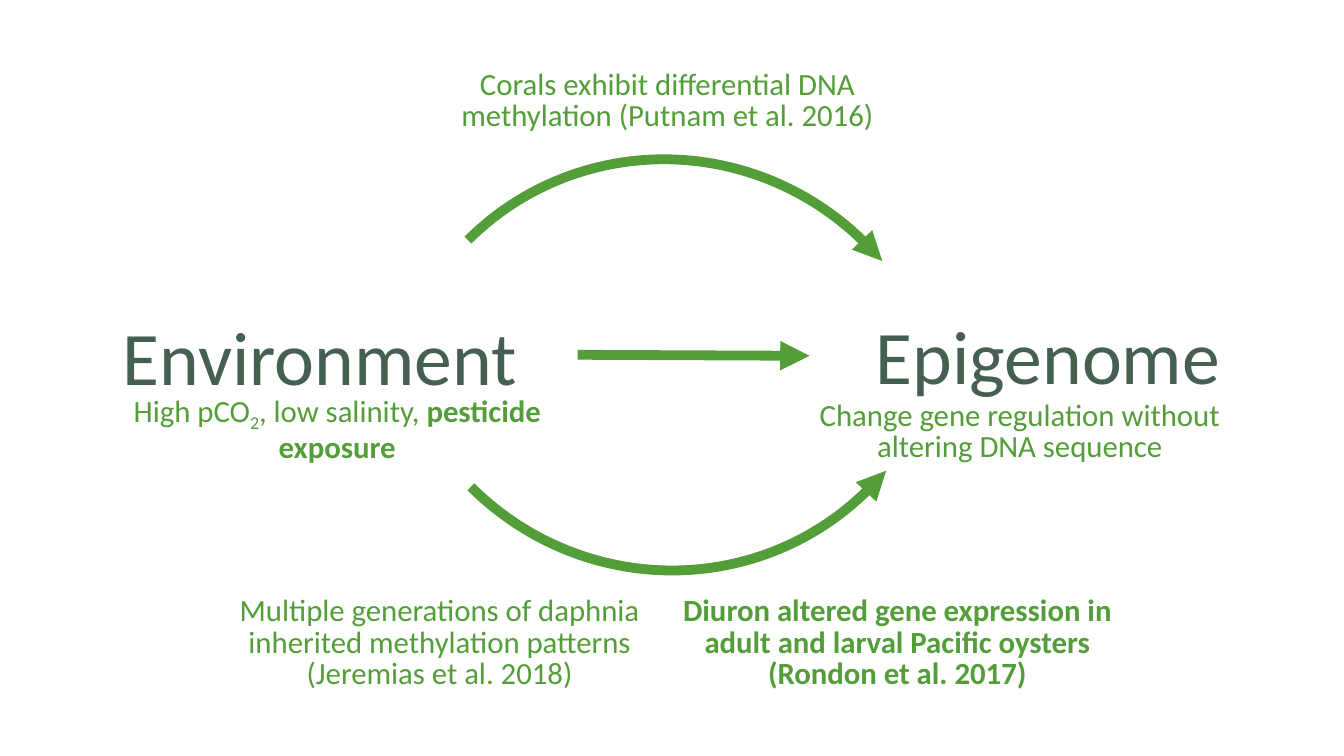
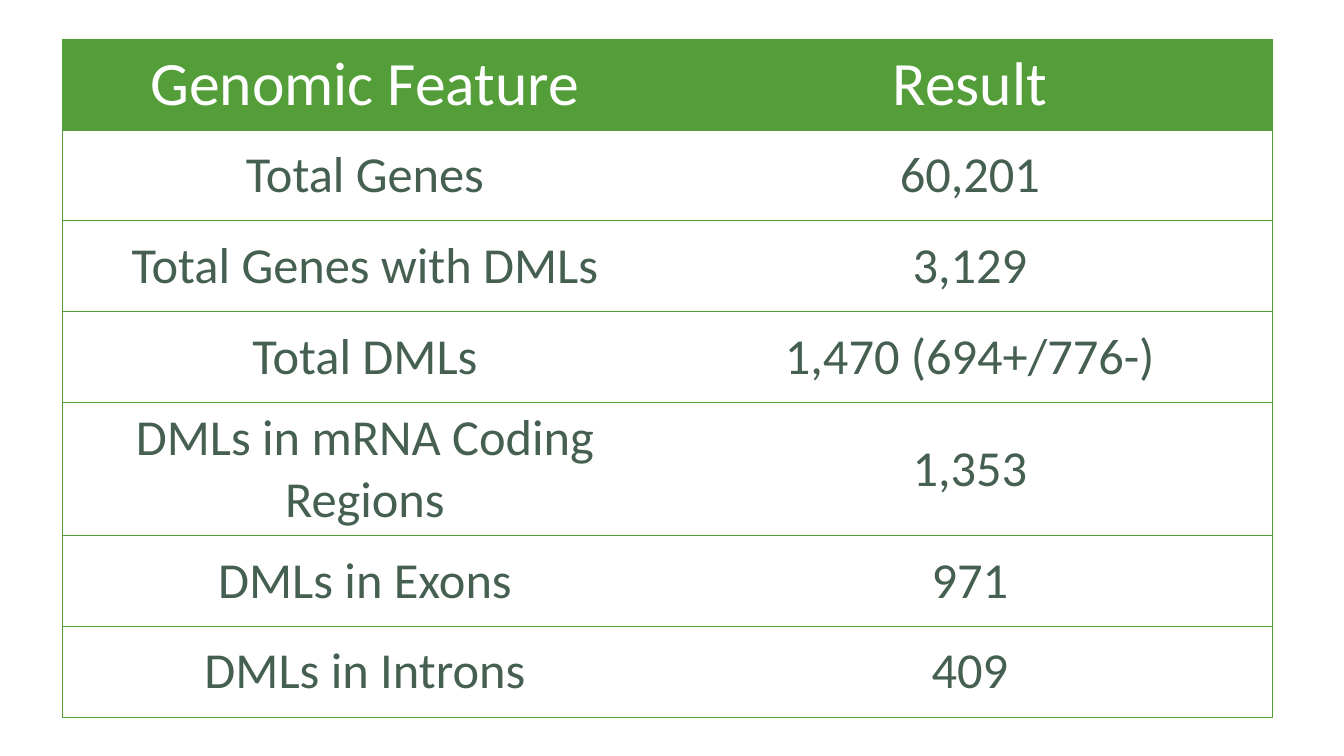
from pptx import Presentation
from pptx.dml.color import RGBColor
from pptx.enum.shapes import MSO_CONNECTOR, MSO_SHAPE
from pptx.enum.text import MSO_ANCHOR, PP_ALIGN
from pptx.oxml.ns import qn
from pptx.util import Inches, Pt
from lxml import etree

GREEN = RGBColor(0x54, 0x9E, 0x39)
DARK = RGBColor(0x45, 0x5F, 0x51)
WHITE = RGBColor(0xFF, 0xFF, 0xFF)
FONT = "Calibri"
LEFT, MID, RIGHT = PP_ALIGN.LEFT, PP_ALIGN.CENTER, PP_ALIGN.RIGHT
MIDDLE = MSO_ANCHOR.MIDDLE
ARC, HEAD = MSO_SHAPE.ARC, MSO_SHAPE.ISOSCELES_TRIANGLE
STRAIGHT = MSO_CONNECTOR.STRAIGHT

# Box, alignment, text
TERMS = [
    ((1.12, 3.03, 4.45, 1.01), LEFT, "Environment"),
    ((8.03, 3.02, 4.17, 1.02), RIGHT, "Epigenome"),
]
# Box, runs of (text, style)
NOTES = [
    ((4.35, 0.65, 4.54, 0.72),
     [("Corals exhibit differential DNA methylation (Putnam et al. 2016)", "")]),
    ((1.18, 3.94, 4.33, 0.73),
     [("High pCO", ""), ("2", "sub"), (", low salinity, ", ""),
      ("pesticide exposure", "bold")]),
    ((7.95, 3.93, 4.33, 0.73),
     [("Change gene regulation without altering DNA sequence", "")]),
    ((2.09, 5.87, 4.54, 1.03),
     [("Multiple generations of daphnia inherited methylation patterns "
       "(Jeremias et al. 2018)", "")]),
    ((6.63, 5.87, 4.54, 1.03),
     [("Diuron altered gene expression in adult and larval Pacific oysters "
       "(Rondon et al. 2017)", "bold")]),
]
# Arc top, arc turn, head left, head top, head turn
CURVES = [(1.56, 315, 8.51, 2.34, 136.3), (0.07, 135, 8.55, 4.63, 43.5)]

ROWS = [
    ("Genomic Feature", "Result"),
    ("Total Genes", "60,201"),
    ("Total Genes with DMLs", "3,129"),
    ("Total DMLs", "1,470 (694+/776-)"),
    ("DMLs in mRNA Coding Regions", "1,353"),
    ("DMLs in Exons", "971"),
    ("DMLs in Introns", "409"),
]


def add_run(par, text, size, color, style=""):
    run = par.add_run()
    run.text = text
    font = run.font
    font.name, font.size, font.color.rgb = FONT, Pt(size), color
    if style == "bold":
        font.bold = True
    elif style == "sub":
        run._r.get_or_add_rPr().set("baseline", "-25000")


def add_text(slide, box, align, runs, size, color, pitch=None):
    frame = slide.shapes.add_textbox(*map(Inches, box)).text_frame
    frame.word_wrap = True
    par = frame.paragraphs[0]
    par.alignment = align
    if pitch:
        par.line_spacing = Pt(pitch)
    for text, style in runs:
        add_run(par, text, size, color, style)


def add_turned(slide, kind, box, turn):
    shape = slide.shapes.add_shape(kind, *map(Inches, box))
    shape.rotation = turn
    shape.shadow.inherit = False
    return shape


def add_curve(slide, top, turn, head_x, head_y, head_turn):
    arc = add_turned(slide, ARC, (3.86, top, 5.53, 5.61), turn)
    arc.fill.background()
    arc.line.color.rgb, arc.line.width = GREEN, Pt(7)
    head = add_turned(slide, HEAD, (head_x, head_y, 0.28, 0.29), head_turn)
    head.fill.solid()
    head.fill.fore_color.rgb = GREEN
    head.line.fill.background()


def add_arrow(slide, *ends):
    line = slide.shapes.add_connector(STRAIGHT, *map(Inches, ends))
    line.line.color.rgb, line.line.width = GREEN, Pt(7)
    etree.SubElement(line.line._get_or_add_ln(), qn("a:tailEnd"), type="triangle")
    etree.SubElement(line._element.spPr, qn("a:effectLst"))


def set_edges(cell, bare):
    """Draw green cell borders except on the bare side."""
    props = cell._tc.get_or_add_tcPr()
    for spot, side in enumerate("LRTB"):
        edge = etree.Element(qn(f"a:ln{side}"), w=str(Pt(0.75)))
        if side == bare:
            etree.SubElement(edge, qn("a:noFill"))
        else:
            fill = etree.SubElement(edge, qn("a:solidFill"))
            etree.SubElement(fill, qn("a:srgbClr"), val=str(GREEN))
        props.insert(spot, edge)


def add_grid(slide, rows, left, top, width, row_high):
    high = row_high * len(rows)
    box = map(Inches, (left, top, width, high))
    table = slide.shapes.add_table(len(rows), len(rows[0]), *box).table
    for r, row in enumerate(rows):
        size, color, back = (36, DARK, WHITE) if r else (44, WHITE, GREEN)
        for c, text in enumerate(row):
            cell = table.cell(r, c)
            cell.fill.solid()
            cell.fill.fore_color.rgb = back
            cell.vertical_anchor = MIDDLE
            par = cell.text_frame.paragraphs[0]
            par.alignment = MID
            add_run(par, text, size, color)
            set_edges(cell, "L" if c else "R")


def main():
    deck = Presentation()
    deck.slide_width, deck.slide_height = Inches(13.33), Inches(7.5)
    blank = deck.slide_layouts[6]

    cycle = deck.slides.add_slide(blank)
    for box, align, term in TERMS:
        add_text(cycle, box, align, [(term, "")], 54, DARK)
    add_arrow(cycle, 5.73, 3.52, 8.03, 3.53)
    for curve in CURVES:
        add_curve(cycle, *curve)
    for box, runs in NOTES:
        add_text(cycle, box, MID, runs, 22, GREEN, 22.4)

    add_grid(deck.slides.add_slide(blank), ROWS, 0.62, 0.39, 12, 0.9)
    deck.save("out.pptx")


if __name__ == "__main__":
    main()
